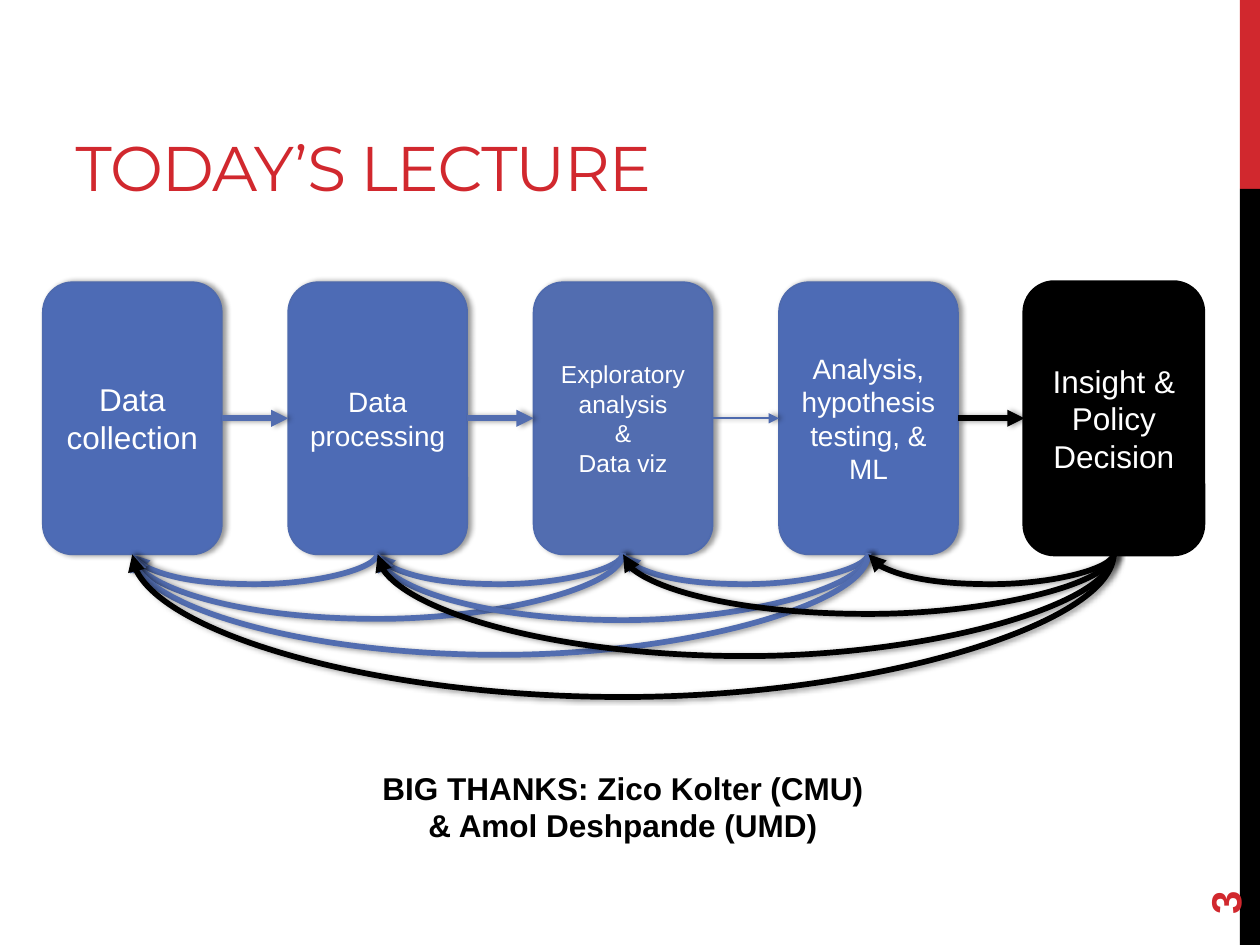
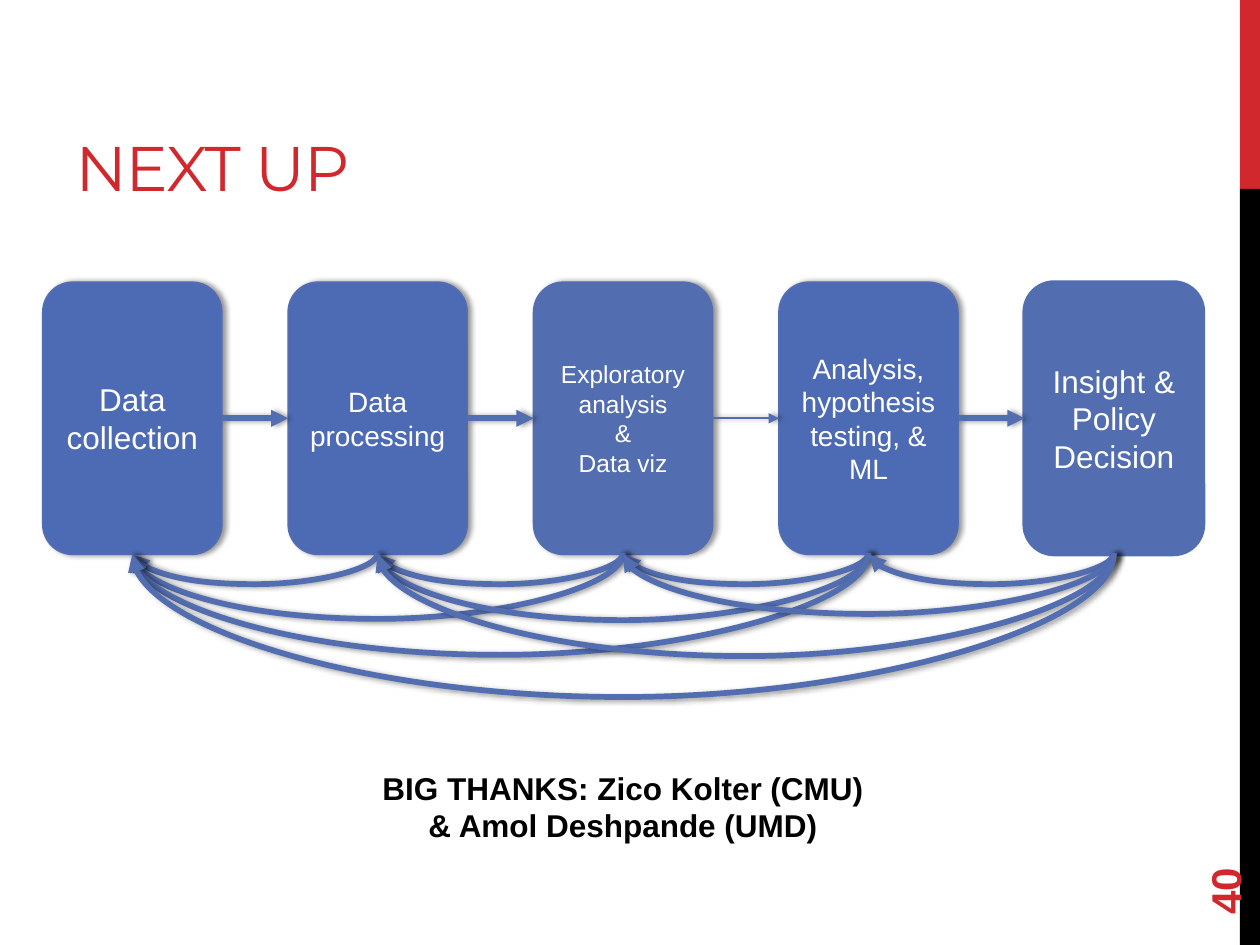
from dataclasses import dataclass

from lxml.etree import SubElement
from pptx import Presentation
from pptx.dml.color import RGBColor
from pptx.enum.shapes import MSO_CONNECTOR, MSO_SHAPE
from pptx.enum.text import MSO_ANCHOR, MSO_AUTO_SIZE, PP_ALIGN
from pptx.oxml.ns import qn
from pptx.util import Inches, Pt

HUES = {
    "red": "D1282E",
    "black": "000000",
    "white": "FFFFFF",
    "blue": "4D6BB5",
    "steel": "526DB0",
    "edge": "4E6AAE",
}

# Grid of the process chain
FIRST, LAST, TOP = 0.34, 8.13, 2.24
WIDE, HIGH = 1.42, 2.16
BASE, DROP = 4.39, 0.01  # start of the curves, and how far lower they end


@dataclass(frozen=True)
class Node:
    lines: tuple
    size: int
    fill: str = "blue"
    depths: tuple = ()  # curves back to earlier nodes, nearest first
    thick: float = 3.25  # arrow coming in


@dataclass(frozen=True)
class Page:
    title: str
    width: float
    number: str
    edge: str
    final: str  # colour of the last node and its arrows


NODES = (
    Node(("Data collection",), 18),
    Node(("Data processing",), 16, depths=(0.25,)),
    Node(("Exploratory analysis", "&", "Data viz"), 14, "steel", (0.25, 0.53)),
    Node(("Analysis, hypothesis testing, & ML",), 16,
         depths=(0.25, 0.54, 0.82), thick=1),
    Node(("Insight & Policy Decision",), 18, depths=(0.25, 0.49, 0.83, 1.16)),
)
STEP = (LAST - FIRST) / (len(NODES) - 1)

PAGES = (
    Page("TODAY’S LECTURE", 6.33, "3", "edge", "black"),
    Page("NEXT UP", 7.63, "40", "steel", "steel"),
)
THANKS = ("BIG THANKS: Zico Kolter (CMU)", "& Amol Deshpande (UMD)")


def rgb(name: str) -> RGBColor:
    return RGBColor.from_string(HUES[name])


def write(shape, lines: tuple, *, size: float, color: str = "white",
          face: str = "Arial", bold: bool = False, align=PP_ALIGN.CENTER,
          anchor=MSO_ANCHOR.MIDDLE, track: int = 0) -> None:
    frame = shape.text_frame
    frame.word_wrap = True
    frame.auto_size = MSO_AUTO_SIZE.NONE
    frame.vertical_anchor = anchor
    for pos, line in enumerate(lines):
        para = frame.add_paragraph() if pos else frame.paragraphs[0]
        para.alignment = align
        run = para.add_run()
        run.text = line
        run.font.name = face
        run.font.size = Pt(size)
        run.font.bold = bold
        run.font.color.rgb = rgb(color)
        if track:
            run.font._element.set("spc", str(track))


def block(slide, kind, box: tuple, fill: str, edge: str = "", thick: float = 1):
    shape = slide.shapes.add_shape(kind, *map(Inches, box))
    shape.fill.solid()
    shape.fill.fore_color.rgb = rgb(fill)
    if edge:
        shape.line.color.rgb = rgb(edge)
        shape.line.width = Pt(thick)
    else:
        shape.line.fill.background()
    shape.shadow.inherit = False
    return shape


def shade(shape) -> None:
    """Give a soft shadow to the right of a shape or connector."""
    props = shape._element.spPr
    group = props.find(qn("a:effectLst"))
    if group is None:
        group = SubElement(props, qn("a:effectLst"))
    cast = SubElement(group, qn("a:outerShdw"), blurRad=str(Pt(3.1)),
                      dist=str(Pt(1.8)), dir="0", rotWithShape="0")
    tone = SubElement(cast, qn("a:srgbClr"), val=HUES["black"])
    SubElement(tone, qn("a:alpha"), val="40000")


def arrow(slide, kind, ends: tuple, color: str, thick: float):
    link = slide.shapes.add_connector(kind, *map(Inches, ends))
    link.line.color.rgb = rgb(color)
    link.line.width = Pt(thick)
    SubElement(link.line._get_or_add_ln(), qn("a:tailEnd"), type="triangle")
    shade(link)
    return link


def curve(slide, start: float, end: float, depth: float, color: str) -> None:
    """Draw an arc that hangs below the nodes, from right to left."""
    span = start - end
    left = (start + end - DROP) / 2
    top = BASE + (DROP - span) / 2
    link = arrow(slide, MSO_CONNECTOR.CURVE,
                 (left, top, left + DROP, top + span), color, 3.25)
    props = link._element.spPr
    props.find(qn("a:xfrm")).set("rot", "5400000")
    geom = props.find(qn("a:prstGeom"))
    guides = geom.find(qn("a:avLst"))
    if guides is None:
        guides = SubElement(geom, qn("a:avLst"))
    SubElement(guides, qn("a:gd"), name="adj1",
               fmla=f"val {round(depth / DROP * 100000)}")


def chain(slide, page: Page) -> None:
    prior = None
    for pos, node in enumerate(NODES):
        left = FIRST + pos * STEP
        final = pos == len(NODES) - 1
        fill = page.final if final else node.fill
        edge = page.final if final else page.edge
        box = block(slide, MSO_SHAPE.ROUNDED_RECTANGLE,
                    (left, TOP, WIDE, HIGH), fill, edge, 2.25 if final else 1)
        write(box, node.lines, size=node.size)
        if not final:
            shade(box)

        # Arrow from the node before
        color = page.final if final else "steel"
        if prior is not None:
            mid = TOP + HIGH / 2
            link = arrow(slide, MSO_CONNECTOR.STRAIGHT,
                         (left - STEP + WIDE, mid, left, mid),
                         page.edge if node.thick == 1 else color, node.thick)
            link.begin_connect(prior, 3)
            link.end_connect(box, 1)
        prior = box

        # Curves back to all earlier nodes
        start = left + WIDE / 2
        for back, depth in enumerate(node.depths, 1):
            curve(slide, start, start - back * STEP, depth, color)


def build(deck, page: Page) -> None:
    slide = deck.slides.add_slide(deck.slide_layouts[5])

    # Side bands
    block(slide, MSO_SHAPE.RECTANGLE, (9.84, 0, 0.16, 1.5), "red")
    block(slide, MSO_SHAPE.RECTANGLE, (9.84, 1.5, 0.16, 6), "black")

    # Title
    title = slide.shapes.title
    title.left, title.top = Inches(0.5), Inches(0.17)
    title.width, title.height = Inches(page.width), Inches(1.5)
    write(title, (page.title,), size=36, color="red", face="Montserrat",
          align=PP_ALIGN.LEFT, anchor=MSO_ANCHOR.BOTTOM, track=-60)

    chain(slide, page)

    # Page number and thanks
    note = slide.shapes.add_textbox(*map(Inches, (9, 6.44, 1.44, 0.4)))
    note.rotation = 270
    write(note, (page.number,), size=24, color="red", bold=True,
          align=PP_ALIGN.LEFT)
    credit = slide.shapes.add_textbox(*map(Inches, (2.41, 6.05, 5.07, 0.71)))
    write(credit, THANKS, size=18, color="black", bold=True,
          anchor=MSO_ANCHOR.TOP)


def main() -> None:
    deck = Presentation()
    deck.slide_width, deck.slide_height = Inches(10), Inches(7.5)
    for page in PAGES:
        build(deck, page)
    deck.save("out.pptx")


if __name__ == "__main__":
    main()
